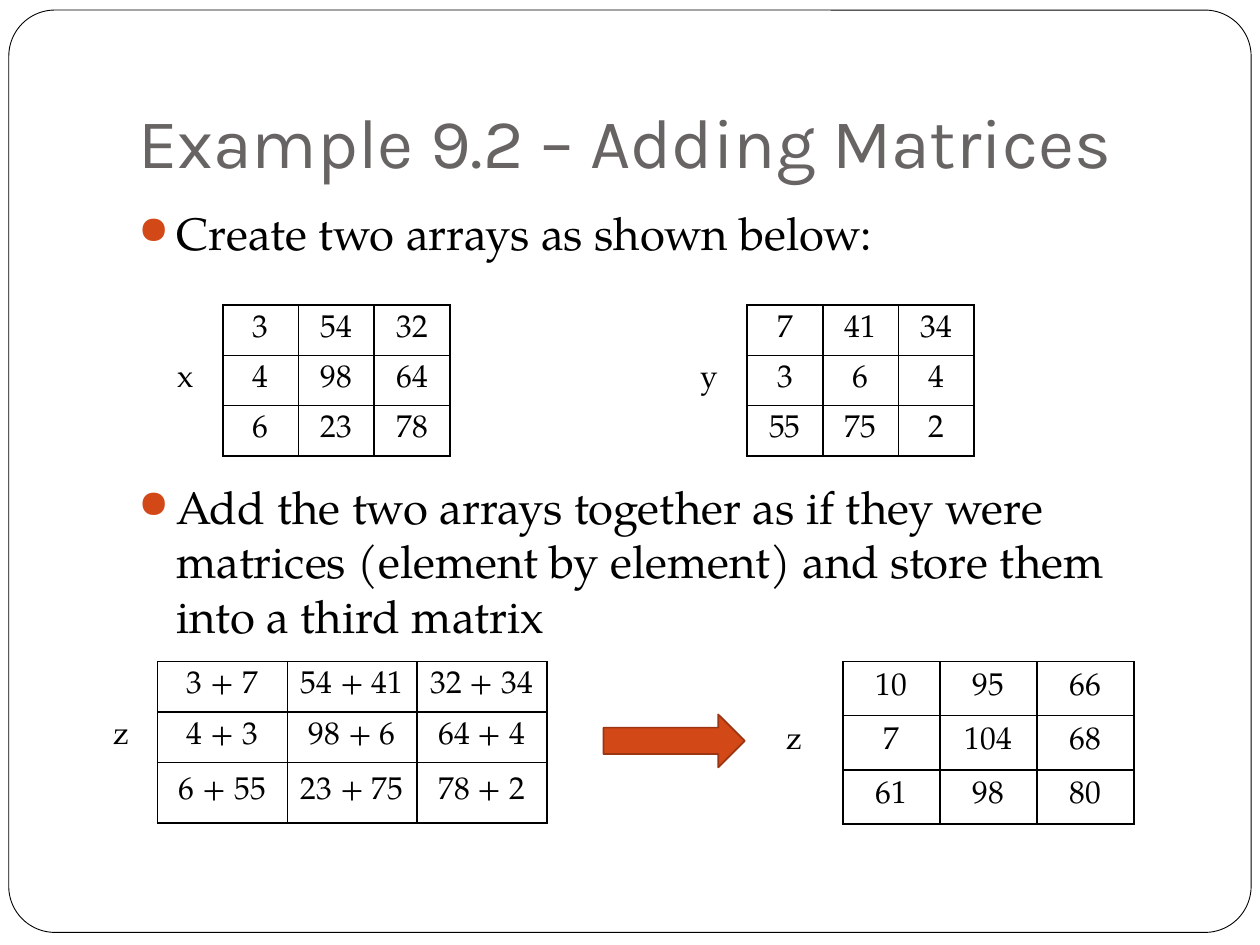
from lxml import etree
from pptx import Presentation
from pptx.dml.color import RGBColor
from pptx.enum.shapes import MSO_SHAPE
from pptx.enum.text import MSO_ANCHOR, PP_ALIGN
from pptx.oxml import parse_xml
from pptx.oxml.ns import nsdecls, qn
from pptx.util import Inches, Pt

ROUNDED, ARROW = MSO_SHAPE.ROUNDED_RECTANGLE, MSO_SHAPE.RIGHT_ARROW
MIDDLE, BOTTOM, CENTER = MSO_ANCHOR.MIDDLE, MSO_ANCHOR.BOTTOM, PP_ALIGN.CENTER
BLACK = RGBColor(0x00, 0x00, 0x00)
WHITE = RGBColor(0xFF, 0xFF, 0xFF)
GRAY = RGBColor(0x69, 0x64, 0x64)
ORANGE = RGBColor(0xD3, 0x48, 0x17)
RUST = RGBColor(0x9C, 0x35, 0x11)
HEADING, SERIF = "Karla", "TeX Gyre Pagella"

deck = Presentation()
deck.slide_width, deck.slide_height = Inches(10), Inches(7.5)
page = deck.slides.add_slide(deck.slide_layouts[6])


def add_span(para, text, size, font, color):
    span = para.add_run()
    span.text = text
    span.font.size = Pt(size)
    span.font.name = font
    span.font.color.rgb = color


def set_borders(cell, drawn_sides):
    properties = cell._tc.get_or_add_tcPr()
    for side in "LRTB":
        line = etree.SubElement(properties, qn("a:ln" + side), w=str(Pt(1)))
        if side in drawn_sides:
            fill = etree.SubElement(line, qn("a:solidFill"))
            etree.SubElement(fill, qn("a:srgbClr"), val=str(BLACK))
        else:
            etree.SubElement(line, qn("a:noFill"))


# Rounded frame and arrow
for kind, left, top, width, height, fill, edge, weight in (
    (ROUNDED, 0.07, 0.08, 9.86, 7.32, WHITE, BLACK, 0.5),
    (ARROW, 4.79, 5.67, 1.12, 0.42, ORANGE, RUST, 1),
):
    shape = page.shapes.add_shape(
        kind, Inches(left), Inches(top), Inches(width), Inches(height))
    shape.shadow.inherit = False
    shape.fill.solid()
    shape.fill.fore_color.rgb = fill
    shape.line.color.rgb = edge
    shape.line.width = Pt(weight)
    if kind == ROUNDED:
        shape.adjustments[0] = 0.05

# Title
box = page.shapes.add_textbox(Inches(1), Inches(0.3), Inches(8.5), Inches(1.25))
box.text_frame.word_wrap = True
box.text_frame.vertical_anchor = BOTTOM
box.text_frame.margin_bottom = Inches(0.1)
add_span(box.text_frame.paragraphs[0], "Example 9.2 – Adding Matrices", 40, HEADING, GRAY)

# Bulleted steps
for top, height, text in (
    (1.58, 0.67, "Create two arrays as shown below:"),
    (3.75, 1, "Add the two arrays together as if they were matrices "
              "(element by element) and store them into a third matrix"),
):
    box = page.shapes.add_textbox(Inches(1), Inches(top), Inches(8.5), Inches(height))
    box.text_frame.word_wrap = True
    para = box.text_frame.paragraphs[0]
    para.space_before = Pt(5.8)
    properties = para._p.get_or_add_pPr()
    properties.set("marL", str(Inches(0.3)))
    properties.set("indent", str(-Inches(0.3)))
    for bullet in (
        f'<a:buClr {nsdecls("a")}><a:srgbClr val="{ORANGE}"/></a:buClr>',
        f'<a:buSzPct {nsdecls("a")} val="85000"/>',
        f'<a:buChar {nsdecls("a")} char="●"/>',
    ):
        properties.append(parse_xml(bullet))
    add_span(para, text, 26, SERIF, BLACK)

# Matrices: name, left, top, label width, column width, row heights, values
X = ((3, 54, 32), (4, 98, 64), (6, 23, 78))
Y = ((7, 41, 34), (3, 6, 4), (55, 75, 2))
pairs = [list(zip(x_row, y_row)) for x_row, y_row in zip(X, Y)]
sums = [[f"{a} + {b}" for a, b in row] for row in pairs]
totals = [[a + b for a, b in row] for row in pairs]

for name, left, top, label_width, column_width, heights, values in (
    ("x", 1.17, 2.42, 0.6, 0.6, (0.4, 0.4, 0.4), X),
    ("y", 5.33, 2.42, 0.6, 0.6, (0.4, 0.4, 0.4), Y),
    ("z", 0.67, 5.25, 0.58, 1.03, (0.4, 0.4, 0.48), sums),
    ("z", 5.92, 5.25, 0.77, 0.77, (0.43, 0.43, 0.43), totals),
):
    widths = (label_width,) + (column_width,) * 3
    table = page.shapes.add_table(
        3, 4, Inches(left), Inches(top), Inches(sum(widths)), Inches(sum(heights))).table
    table.first_row = table.horz_banding = False
    for column, width in zip(table.columns, widths):
        column.width = Inches(width)
    for r, height in enumerate(heights):
        table.rows[r].height = Inches(height)
        label = name if r == 1 else ""
        for c, value in enumerate((label, *values[r])):
            cell = table.cell(r, c)
            cell.vertical_anchor = MIDDLE
            cell.margin_left = cell.margin_right = Inches(0.05)
            cell.margin_top = cell.margin_bottom = Inches(0.04)
            set_borders(cell, "LRTB" if c else "R")
            cell.fill.background()
            if value != "":
                para = cell.text_frame.paragraphs[0]
                para.alignment = CENTER
                add_span(para, str(value), 18, SERIF, BLACK)

deck.save("out.pptx")
